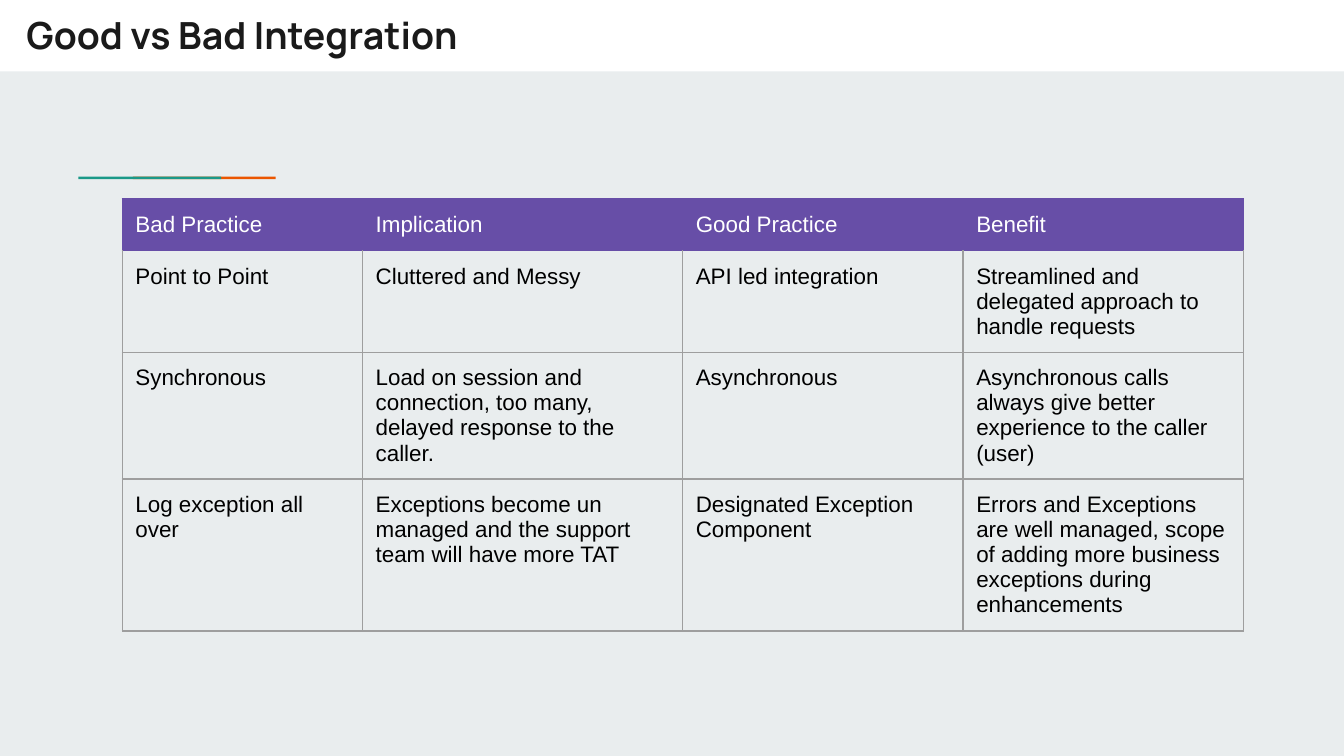
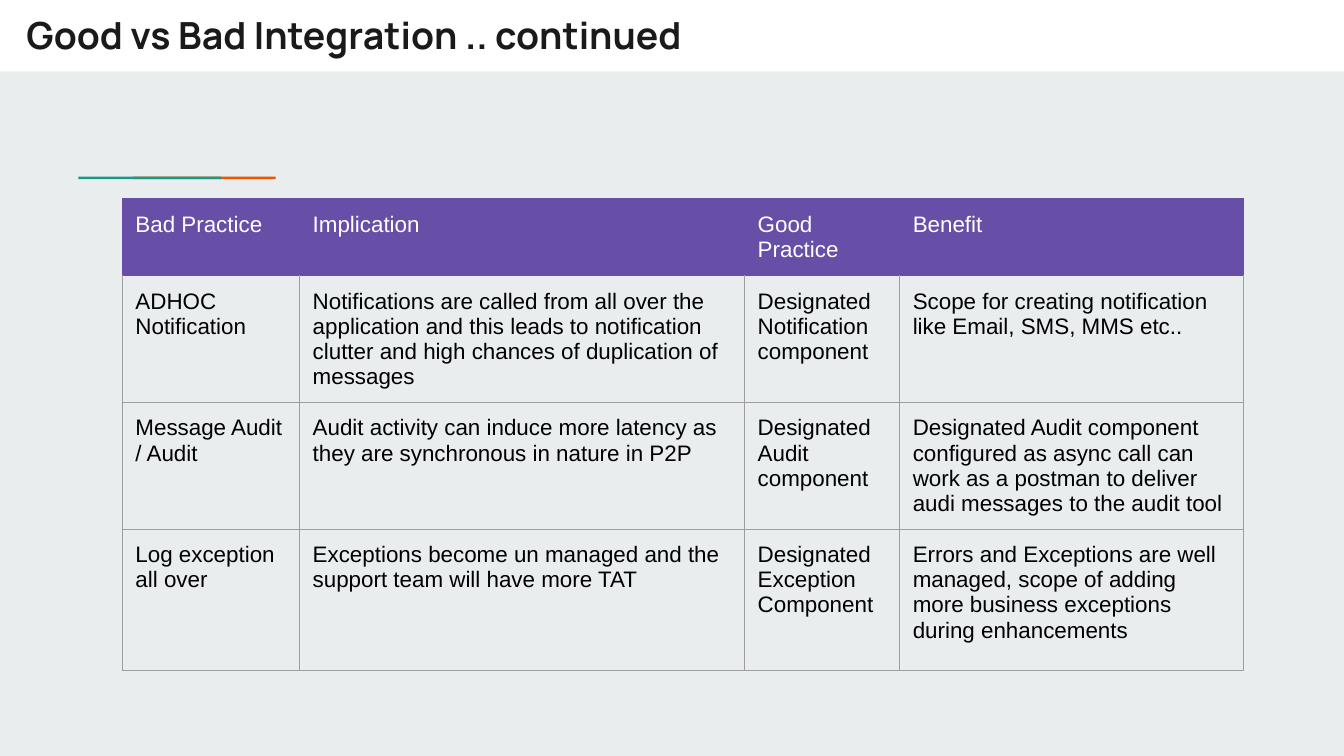
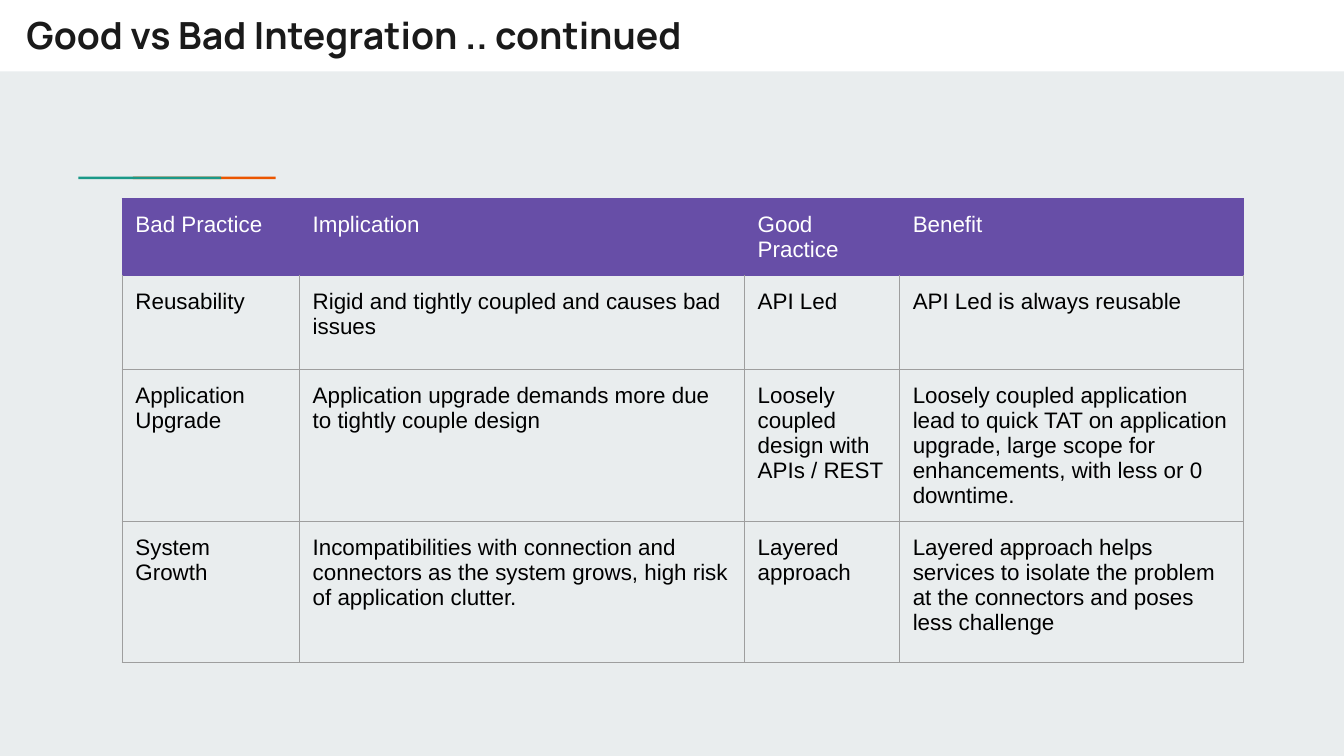
from lxml import etree
from pptx import Presentation
from pptx.dml.color import RGBColor
from pptx.enum.shapes import MSO_SHAPE
from pptx.enum.text import MSO_ANCHOR, MSO_AUTO_SIZE, PP_ALIGN
from pptx.oxml.ns import qn
from pptx.util import Cm, Pt

RECT = MSO_SHAPE.RECTANGLE
TOP, MIDDLE = MSO_ANCHOR.TOP, MSO_ANCHOR.MIDDLE
LEFT = PP_ALIGN.LEFT
NO_AUTOFIT = MSO_AUTO_SIZE.NONE
TITLE_ONLY = 5

SLIDE_W, SLIDE_H = 25.4, 14.29
INSET = 0.25
BACKGROUND, WHITE, BLACK = "E9EDEE", "FFFFFF", "000000"
TITLE_INK, PURPLE, GRAY = "1A1A1A", "674EA7", "9E9E9E"
TEAL, ORANGE = "1A9988", "EB5600"
TITLE_FONT, BODY_FONT = "Manrope", "Arial"

HEADERS = ["Bad Practice", "Implication", "Good Practice", "Benefit"]
ROW_HEIGHTS = [0.89, 1.78, 2.24, 2.67]
EVEN_COLS = [4.54, 6.05, 5.3, 5.3]
WIDE_COLS = [3.35, 8.41, 2.93, 6.5]
EXCEPTION_ROW = [
    "Log exception all over",
    "Exceptions become un managed and the support team will have more TAT",
    "Designated Exception Component",
    "Errors and Exceptions are well managed, scope of adding more business "
    "exceptions during enhancements",
]
SLIDES = [
    ("Good vs Bad Integration", EVEN_COLS, [
        ["Point to Point", "Cluttered and Messy", "API led integration",
         "Streamlined and delegated approach to handle requests"],
        ["Synchronous",
         "Load on session and connection, too many, delayed response to the caller.",
         "Asynchronous",
         "Asynchronous calls always give better experience to the caller (user)"],
        EXCEPTION_ROW,
    ]),
    ("Good vs Bad Integration .. continued", WIDE_COLS, [
        ["ADHOC Notification",
         "Notifications are called from all over the application and this leads to "
         "notification clutter and high chances of duplication of messages",
         "Designated Notification component",
         "Scope for creating notification like Email, SMS, MMS etc.."],
        ["Message Audit / Audit",
         "Audit activity can induce more latency as they are synchronous in nature in P2P",
         "Designated Audit component",
         "Designated Audit component configured as async call can work as a postman "
         "to deliver audi messages to the audit tool"],
        EXCEPTION_ROW,
    ]),
    ("Good vs Bad Integration .. continued", WIDE_COLS, [
        ["Reusability", "Rigid and tightly coupled and causes bad issues", "API Led",
         "API Led is always reusable"],
        ["Application Upgrade",
         "Application upgrade demands more due to tightly couple design",
         "Loosely coupled design with APIs / REST",
         "Loosely coupled application lead to quick TAT on application upgrade, "
         "large scope for enhancements, with less or 0 downtime."],
        ["System Growth",
         "Incompatibilities with connection and connectors as the system grows, "
         "high risk of application clutter.",
         "Layered approach",
         "Layered approach helps services to isolate the problem at the connectors "
         "and poses less challenge"],
    ]),
]


def rgb(color):
    return RGBColor.from_string(color)


def style_text(tf, font, size, color, bold=False):
    for p in tf.paragraphs:
        p.alignment = LEFT
        for r in p.runs:
            r.font.name = font
            r.font.size = Pt(size)
            r.font.bold = bold
            r.font.color.rgb = rgb(color)


def add_rect(slide, x, y, w, h, color):
    sp = slide.shapes.add_shape(RECT, Cm(x), Cm(y), Cm(w), Cm(h))
    sp.shadow.inherit = False
    sp.fill.solid()
    sp.fill.fore_color.rgb = rgb(color)
    sp.line.fill.background()


def add_decoration(slide):
    add_rect(slide, 0, 0, SLIDE_W, 1.35, WHITE)
    add_rect(slide, 2.51, 3.34, 2.7, 0.05, ORANGE)
    add_rect(slide, 1.48, 3.34, 2.7, 0.05, TEAL)


def set_title(slide, text):
    sp = slide.shapes.title
    sp.left, sp.top, sp.width, sp.height = Cm(0.25), Cm(0), Cm(17.6), Cm(1.32)
    tf = sp.text_frame
    tf.text = text
    tf.auto_size = NO_AUTOFIT
    tf.word_wrap = True
    tf.vertical_anchor = MIDDLE
    tf.margin_left = tf.margin_right = tf.margin_top = tf.margin_bottom = Cm(INSET)
    style_text(tf, TITLE_FONT, 20, TITLE_INK, bold=True)
    sp.element.getparent().append(sp.element)


def set_borders(cell, color, top_color):
    tc_pr = cell._tc.get_or_add_tcPr()
    for side in "LRTB":
        ln = etree.SubElement(tc_pr, qn(f"a:ln{side}"), w=str(Pt(0.75)))
        fill = etree.SubElement(ln, qn("a:solidFill"))
        etree.SubElement(fill, qn("a:srgbClr"), val=top_color if side == "T" else color)


def format_cell(cell, text, row):
    is_header = row == 0
    cell.text = text
    cell.vertical_anchor = TOP
    cell.margin_left = cell.margin_right = cell.margin_top = cell.margin_bottom = Cm(INSET)
    style_text(cell.text_frame, BODY_FONT, 12, WHITE if is_header else BLACK)
    set_borders(cell, PURPLE if is_header else GRAY, PURPLE if row <= 1 else GRAY)
    if is_header:
        cell.fill.solid()
        cell.fill.fore_color.rgb = rgb(PURPLE)
    else:
        cell.fill.background()


def add_practice_table(slide, col_widths, body):
    rows = [HEADERS] + body
    table = slide.shapes.add_table(
        len(rows), len(HEADERS), Cm(2.31), Cm(3.76),
        Cm(sum(col_widths)), Cm(sum(ROW_HEIGHTS))).table
    table.first_row = False
    table.horz_banding = False
    for col, width in zip(table.columns, col_widths):
        col.width = Cm(width)
    for i, (texts, height) in enumerate(zip(rows, ROW_HEIGHTS)):
        table.rows[i].height = Cm(height)
        for j, text in enumerate(texts):
            format_cell(table.cell(i, j), text, i)


def main():
    prs = Presentation()
    prs.slide_width, prs.slide_height = Cm(SLIDE_W), Cm(SLIDE_H)
    background = prs.slide_master.background.fill
    background.solid()
    background.fore_color.rgb = rgb(BACKGROUND)
    for title, col_widths, body in SLIDES:
        slide = prs.slides.add_slide(prs.slide_layouts[TITLE_ONLY])
        add_decoration(slide)
        add_practice_table(slide, col_widths, body)
        set_title(slide, title)
    prs.save("out.pptx")


if __name__ == "__main__":
    main()
